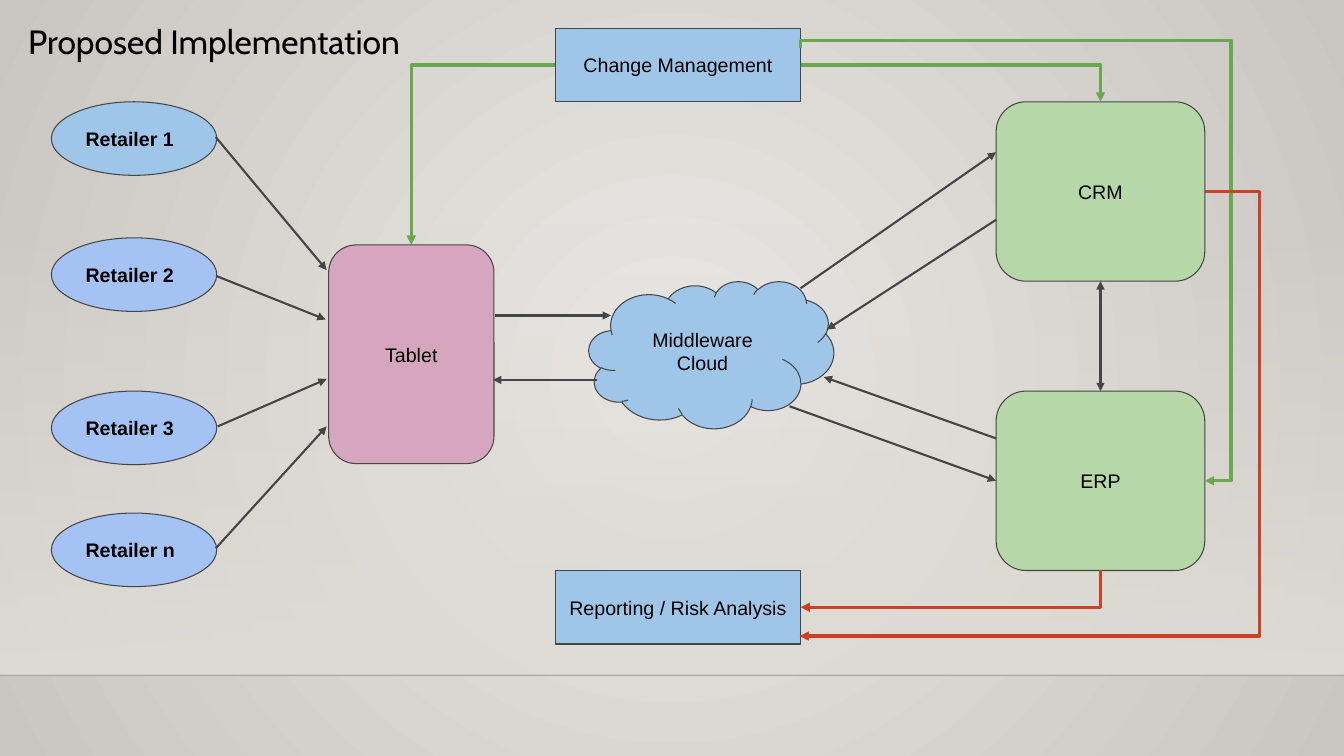
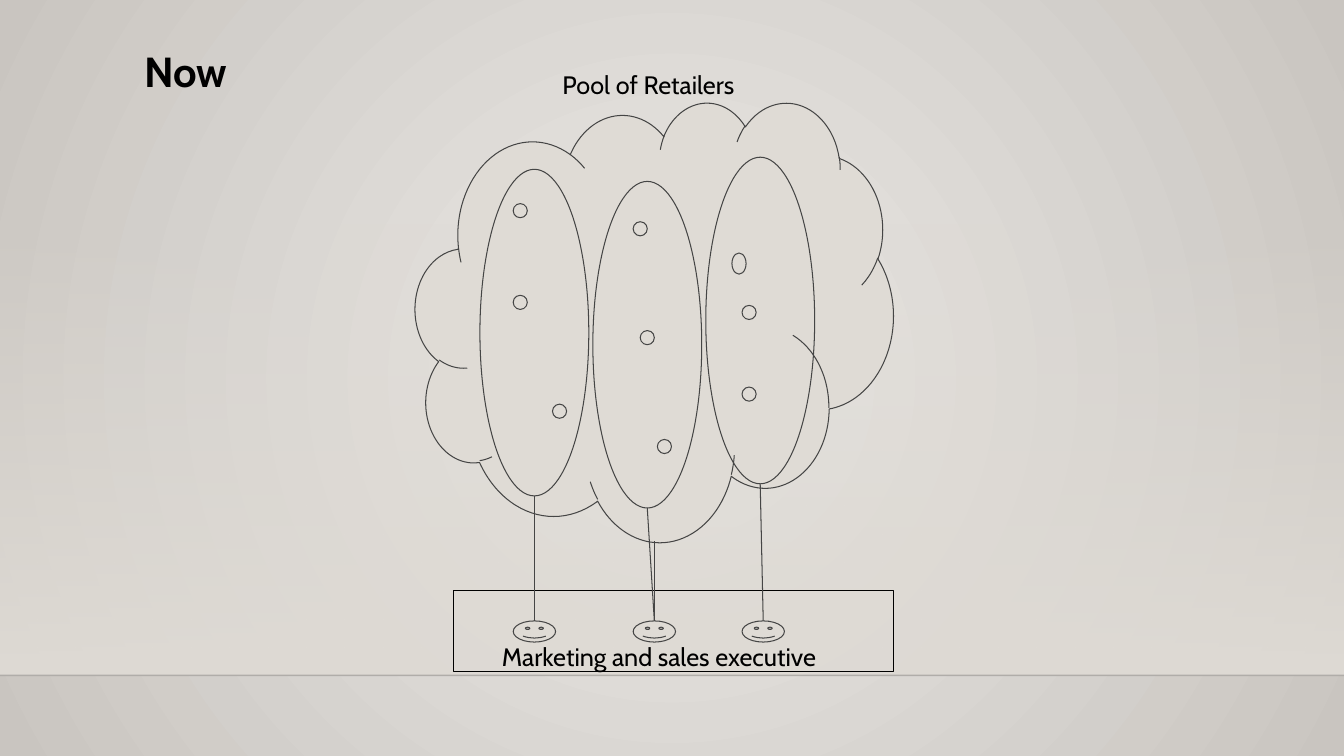
from pptx import Presentation
from pptx.dml.color import RGBColor
from pptx.enum.shapes import MSO_CONNECTOR as Link, MSO_SHAPE as Kind
from pptx.enum.text import MSO_ANCHOR as Anchor, MSO_AUTO_SIZE as Fit, PP_ALIGN as Align
from pptx.oxml import parse_xml
from pptx.oxml.ns import nsdecls, qn
from pptx.util import Inches, Pt

COLORS = {
    "black": "000000", "outline": "454545", "rule": "000001",
    "center": "EBE9E6", "edge": "C9C5C0", "sand": "DFDBD5",
    "sky": "9FC5E8", "periwinkle": "A4C2F4", "pink": "D5A6BD", "mint": "B6D7A8",
    "green": "6AA84F", "red": "CC4125",
}
WIDTH, HEIGHT, FLOOR = 13.33, 7.5, 6.7
TOP, LEFT, BOTTOM, RIGHT = range(4)  # connection sites of a box

# Proposed implementation: boxes are name, kind, left, top, width, height, fill
RETAILERS = [("Retailer 1", 1.01, "sky"), ("Retailer 2", 2.36, "periwinkle"),
             ("Retailer 3", 3.88, "periwinkle"), ("Retailer n", 5.09, "periwinkle")]
SYSTEMS = [
    ("Tablet", Kind.FLOWCHART_ALTERNATE_PROCESS, 3.26, 2.43, 1.64, 2.17, "pink"),
    ("Middleware Cloud", Kind.CLOUD, 5.84, 2.79, 2.43, 1.46, "sky"),
    ("CRM", Kind.FLOWCHART_ALTERNATE_PROCESS, 9.88, 1.01, 2.07, 1.78, "mint"),
    ("ERP", Kind.FLOWCHART_ALTERNATE_PROCESS, 9.88, 3.88, 2.07, 1.78, "mint"),
    ("Change Management", Kind.RECTANGLE, 5.51, 0.28, 2.43, 0.73, "sky"),
    ("Reporting / Risk Analysis", Kind.RECTANGLE, 5.51, 5.66, 2.43, 0.73, "sky"),
]
DATA_FLOWS = [
    ((2.14, 1.36), (3.24, 2.68)), ((2.15, 2.74), (3.23, 3.17)),
    ((2.16, 4.23), (3.24, 3.76)), ((2.14, 5.44), (3.24, 4.23)),
    ((4.91, 3.13), (6.06, 3.13)), ((5.92, 3.77), (4.89, 3.77)),
    ((7.94, 2.86), (9.88, 1.51)), ((9.88, 2.18), (8.2, 3.27)),
    ((7.83, 4.03), (9.88, 4.77)), ((9.88, 4.35), (8.17, 3.74)),
]
# Elbows: start box and site, end box and site, color, arrowhead end
ELBOWS = [
    ("Change Management", LEFT, "Tablet", TOP, "green", "tail"),
    ("Change Management", RIGHT, "CRM", TOP, "green", "tail"),
    ("Reporting / Risk Analysis", RIGHT, "ERP", BOTTOM, "red", "head"),
]
LOOPS = [
    ([(7.94, 0.48), (7.94, 0.4), (12.21, 0.4), (12.21, 4.77), (11.95, 4.77)], "green"),
    ([(11.95, 1.9), (12.49, 1.9), (12.49, 6.31), (7.93, 6.31)], "red"),
]

# Now: groups of retailers, each served by one executive
DOT, FACE_TOP = 0.14, 6.16
DOTS = [(5.09, 2.02), (5.09, 2.93), (5.48, 4.01), (6.28, 2.2), (6.35, 3.28),
        (6.52, 4.36), (7.36, 3.84), (7.36, 3.03)]
GROUP_SIZE, FACE_SIZE = (1.08, 3.24), (0.42, 0.21)
GROUPS = [(4.76, 1.68, 5.09), (5.88, 1.8, 6.28), (7, 1.56, 7.36)]  # left, top, face left
CAPTIONS = [("Pool of Retailers", 5.48, 0.59, 5.37, 0.8),
            ("Marketing and sales executive", 4.88, 6.26, 5.37, 0.47)]


def rgb(name):
    return RGBColor.from_string(COLORS[name])


def write(shape, text, size=14, font="Arial", bold=False, align=Align.LEFT,
          anchor=Anchor.MIDDLE, spacing=None):
    frame = shape.text_frame
    frame.word_wrap, frame.auto_size, frame.vertical_anchor = True, Fit.NONE, anchor
    frame.margin_left = frame.margin_right = Inches(0.1)
    frame.margin_top = frame.margin_bottom = Inches(0.1)
    para = frame.paragraphs[0]
    para.alignment, para.line_spacing = align, spacing
    span = para.add_run()
    span.text = text
    span.font.size, span.font.name, span.font.bold = Pt(size), font, bold
    span.font.color.rgb = rgb("black")


def style_line(shape, color="outline", width=0.75, arrows=()):
    shape.line.color.rgb = rgb(color)
    shape.line.width = Pt(width)
    for end in arrows:
        shape.line._get_or_add_ln().append(
            parse_xml(f'<a:{end}End {nsdecls("a")} type="triangle"/>'))


def add_box(page, kind, left, top, width, height, fill=None, line="outline"):
    box = page.shapes.add_shape(kind, Inches(left), Inches(top), Inches(width), Inches(height))
    box.shadow.inherit = False
    if fill:
        box.fill.solid()
        box.fill.fore_color.rgb = rgb(fill)
    else:
        box.fill.background()
    if line:
        style_line(box, line)
    else:
        box.line.fill.background()
    return box


def add_link(page, start=(0, 0), end=(0, 0), kind=Link.STRAIGHT, **line_format):
    link = page.shapes.add_connector(kind, *(Inches(value) for value in (*start, *end)))
    style_line(link, **line_format)
    link.element.spPr.append(parse_xml(f'<a:effectLst {nsdecls("a")}/>'))
    return link


def add_loop(page, points, color):
    """Draw an arrow that turns at every given point."""
    start, *rest = [(Inches(x), Inches(y)) for x, y in points]
    builder = page.shapes.build_freeform(*start, scale=1.0)
    builder.add_line_segments(rest, close=False)
    loop = builder.convert_to_shape()
    loop.shadow.inherit = False
    loop.fill.background()
    style_line(loop, color, 2.25, ["tail"])


def add_title(page, text, place, **text_format):
    title = page.shapes.title
    title.left, title.top, title.width, title.height = map(Inches, place)
    write(title, text, font="Cabin", anchor=Anchor.TOP, spacing=0.9, **text_format)


def add_caption(page, text, *place):
    caption = page.shapes.add_textbox(*map(Inches, place))
    write(caption, text, size=18, font="Cabin", anchor=Anchor.TOP)


def set_gradient(element, first, last, direction, alpha=100):
    """Replace the first solid fill in element by a gradient; alpha is for the first stop."""
    solid = next(element.iter(qn("a:solidFill")))
    solid.getparent().replace(solid, parse_xml(
        f'<a:gradFill {nsdecls("a")} rotWithShape="1"><a:gsLst>'
        f'<a:gs pos="0"><a:srgbClr val="{COLORS[first]}"><a:alpha val="{alpha * 1000}"/>'
        f'</a:srgbClr></a:gs>'
        f'<a:gs pos="100000"><a:srgbClr val="{COLORS[last]}"/></a:gs>'
        f'</a:gsLst>{direction}</a:gradFill>'))


def dress_master(master, page):
    """Give the master its background, floor band and rule, drawn first on page."""
    master.background.fill.solid()
    master.background.fill.fore_color.rgb = rgb("center")
    set_gradient(master.element, "center", "edge",
                 '<a:path path="circle"><a:fillToRect l="50000" t="50000" '
                 'r="50000" b="50000"/></a:path>')
    band = add_box(page, Kind.RECTANGLE, 0, 2.21, WIDTH, FLOOR - 2.21, "sand", line=None)
    set_gradient(band.element, "sand", "sand", '<a:lin ang="5400000" scaled="0"/>', alpha=0)
    rule = add_link(page, (0, FLOOR), (WIDTH, FLOOR), color="rule", width=1)
    next(rule.element.iter(qn("a:srgbClr"))).append(
        parse_xml(f'<a:alpha {nsdecls("a")} val="20000"/>'))
    for part in (band, rule):
        master.shapes.element.append(part.element)


def build_proposal(page):
    add_title(page, "Proposed Implementation", (0.18, 0.15, 11.33, 0.72), size=24)
    for name, top, fill in RETAILERS:
        write(add_box(page, Kind.OVAL, 0.51, top, 1.64, 0.73, fill), name, bold=True)
    boxes = {}
    for name, *look in SYSTEMS:
        boxes[name] = add_box(page, *look)
        write(boxes[name], name, align=Align.CENTER)
    for start, end in DATA_FLOWS:
        add_link(page, start, end, width=1.5, arrows=["tail"])
    for source, source_site, target, target_site, color, arrow in ELBOWS:
        elbow = add_link(page, kind=Link.ELBOW, color=color, width=2.25, arrows=[arrow])
        elbow.begin_connect(boxes[source], source_site)
        elbow.end_connect(boxes[target], target_site)
        elbow.element.spPr.find(qn("a:prstGeom")).set("prst", "bentConnector2")
    for points, color in LOOPS:
        add_loop(page, points, color)
    exchange = add_link(page, width=1.5, arrows=["head", "tail"])
    exchange.begin_connect(boxes["CRM"], BOTTOM)
    exchange.end_connect(boxes["ERP"], TOP)


def build_now(page):
    add_title(page, "Now", (1.33, 0.41, 1.53, 0.8), size=30, bold=True)
    add_box(page, Kind.CLOUD, 4.12, 1.01, 4.74, 4.36, "sand")
    for left, top in DOTS:
        add_box(page, Kind.OVAL, left, top, DOT, DOT, "sand")
    add_box(page, Kind.OVAL, 7.26, 2.51, DOT, 0.21, "sand")
    add_box(page, Kind.RECTANGLE, 4.5, 5.86, 4.36, 0.8, line="black")
    for left, top, face_left in GROUPS:
        add_box(page, Kind.SMILEY_FACE, face_left, FACE_TOP, *FACE_SIZE, "sand")
        add_box(page, Kind.OVAL, left, top, *GROUP_SIZE)
        add_link(page, (left + GROUP_SIZE[0] / 2, top + GROUP_SIZE[1]),
                 (face_left + FACE_SIZE[0] / 2, FACE_TOP))
    add_link(page, (6.49, 5.37), (6.49, FACE_TOP))
    for caption in CAPTIONS:
        add_caption(page, *caption)


def main():
    deck = Presentation()
    deck.slide_width, deck.slide_height = Inches(WIDTH), Inches(HEIGHT)
    title_only = deck.slide_layouts[5]
    pages = [deck.slides.add_slide(title_only) for _ in range(2)]
    dress_master(deck.slide_master, pages[0])
    build_proposal(pages[0])
    build_now(pages[1])
    deck.save("out.pptx")


if __name__ == "__main__":
    main()
